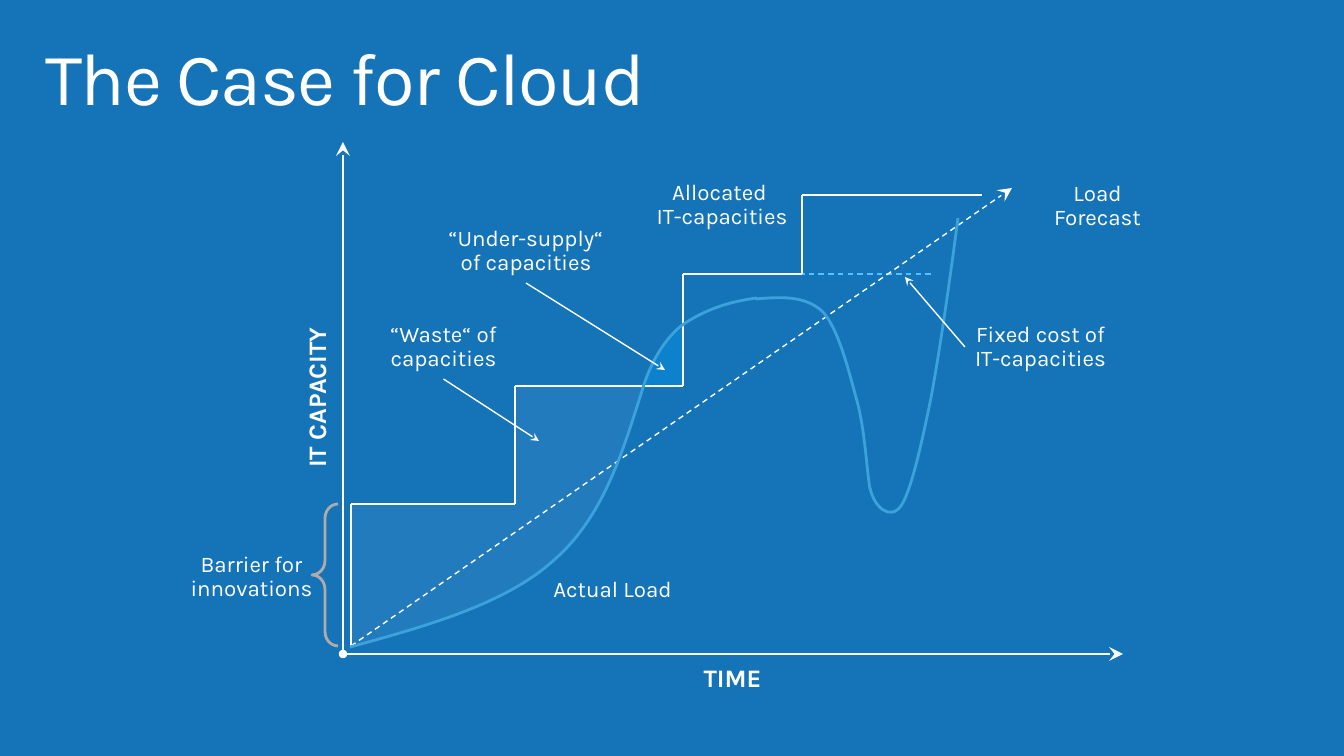
"""Build the slide "The Case for Cloud": IT capacity steps against actual load over time."""
from itertools import pairwise

from lxml import etree
from pptx import Presentation
from pptx import util as u
from pptx.dml.color import RGBColor
from pptx.enum import dml, shapes, text
from pptx.oxml.ns import qn

PX = 914400 / 100.8
FONT = "Karla"
BLUE = RGBColor(0x15, 0x74, 0xB8)
WHITE = RGBColor(0xFF, 0xFF, 0xFF)
GREY = RGBColor(0xAF, 0xAB, 0xAB)
LOAD = RGBColor(0x3B, 0xA2, 0xDB)
WASTE = RGBColor(0x5B, 0x9B, 0xD5)
SUPPLY = RGBColor(0x00, 0x98, 0xED)
PALE = RGBColor(0x54, 0xC2, 0xFF)


def add_line(start, end, width=1, color=WHITE, dash=False, head=None, tail=None, size="med"):
    """Draw a straight connector between two points given in px."""
    c = s.shapes.add_connector(shapes.MSO_CONNECTOR.STRAIGHT,
                               *[round(v * PX) for v in (*start, *end)])
    c.line.width = u.Pt(width)
    c.line.color.rgb = color
    if dash:
        c.line.dash_style = dml.MSO_LINE.DASH
    for tag, kind, scale in (("a:headEnd", head, "med"), ("a:tailEnd", tail, size)):
        if kind:
            etree.SubElement(c.line._ln, qn(tag), type=kind, w=scale, len=scale)
    etree.SubElement(c._element.spPr, qn("a:effectLst"))
    return c


def add_outline(start, pieces, closed):
    """Draw a freeform from px pieces: one point is a line, three are a Bezier curve."""
    fb = s.shapes.build_freeform(*[round(v * PX) for v in start])
    fb.add_line_segments([(round(x * PX), round(y * PX)) for piece in pieces for x, y in piece],
                         close=closed)
    sp = fb.convert_to_shape()
    sp.shadow.inherit = False
    segments = iter(list(sp._element.spPr.iter(qn("a:lnTo"))))
    for piece in pieces:
        group = [next(segments) for _ in piece]
        if len(group) == 3:
            curve = etree.Element(qn("a:cubicBezTo"))
            group[0].addprevious(curve)
            for segment in group:
                curve.append(segment[0])
                segment.getparent().remove(segment)
    return sp


prs = Presentation()
prs.slide_width, prs.slide_height = round(1344 * PX), round(756 * PX)
s = prs.slides.add_slide(prs.slide_layouts[5])
s.background.fill.solid()
s.background.fill.fore_color.rgb = BLUE

title = s.shapes.title
title.left, title.top, title.width, title.height = [round(v * PX) for v in (29, 32, 1272, 99)]
tf = title.text_frame
tf.text = "The Case for Cloud"
tf.auto_size = text.MSO_AUTO_SIZE.NONE
tf.vertical_anchor = text.MSO_ANCHOR.TOP
tf.margin_left = tf.margin_right = round(16 * PX)
tf.margin_top = tf.margin_bottom = round(10 * PX)
p = tf.paragraphs[0]
p.alignment = text.PP_ALIGN.LEFT
p.line_spacing = 0.9
r = p.runs[0]
r.font.name, r.font.size, r.font.color.rgb = FONT, u.Pt(52.9), WHITE
r.font._element.set("spc", "-100")

add_line((799, 274), (933, 274), color=PALE, dash=True)

areas = [
    ((683, 387), [[(683, 371), (684, 340), (684, 327)],
                  [(673, 331), (649, 360), (645, 387)], [(683, 387)]], SUPPLY, 39),
    ((351, 646), [[(350, 599), (351, 533), (351, 504)], [(516, 504)],
                  [(516, 453), (516, 424), (516, 386)], [(642, 386)],
                  [(628, 446), (599, 524), (547, 565)],
                  [(490, 609), (411, 630), (351, 646)]], WASTE, 19),
]
for start, pieces, color, opacity in areas:
    sp = add_outline(start, pieces, True)
    sp.fill.solid()
    sp.fill.fore_color.rgb = color
    sp.line.fill.background()
    clr = sp._element.spPr.find(".//" + qn("a:srgbClr"))
    etree.SubElement(clr, qn("a:alpha"), val=str(opacity * 1000))

steps = [(351, 646), (351, 504), (515, 504), (515, 386), (683, 386),
         (683, 274), (802, 274), (802, 195), (982, 195)]
for start, end in pairwise(steps):
    add_line(start, end, width=1.5)
for end in ((1123, 654), (343, 142)):
    add_line((343, 654), end, head="oval", tail="stealth", size="lg")
add_line(steps[0], (1012, 188), dash=True, tail="stealth", size="lg")

brace = s.shapes.add_shape(shapes.MSO_SHAPE.LEFT_BRACE,
                           *[round(v * PX) for v in (312, 504, 26, 142)])
brace.adjustments[0], brace.adjustments[1] = 0.55, 0.5
brace.shadow.inherit = False
brace.fill.background()
brace.line.color.rgb, brace.line.width = GREY, u.Pt(2)

load_curves = [
    ((756, 299), [[(780, 297), (805, 295), (823, 312)], [(839, 330), (849, 372), (857, 401)],
                  [(865, 430), (867, 473), (870, 489)]]),
    ((870, 488), [[(874, 507), (890, 521), (901, 506)], [(911, 491), (921, 447), (931, 398)],
                  [(940, 350), (950, 279), (958, 218)]]),
    ((350, 647), [[(427, 626), (505, 604), (553, 561)], [(603, 518), (622, 454), (642, 391)]]),
    ((642, 391), [[(650, 364), (663, 341), (681, 326)], [(701, 312), (725, 302), (757, 298)]]),
]
for start, pieces in load_curves:
    sp = add_outline(start, pieces, False)
    sp.fill.background()
    sp.line.color.rgb, sp.line.width = LOAD, u.Pt(2)

labels = [
    ("Actual Load", (547, 568, 131, 41), True),
    ("Allocated \vIT-capacities", (650, 173, 144, 65), True),
    ("“Waste“ of capacities", (376, 315, 135, 64), True),
    ("“Under-supply“ of capacities", (444, 219, 164, 64), True),
    ("Fixed cost of IT-capacities", (965, 315, 151, 64), True),
    ("Load Forecast", (1022, 177, 151, 58), False),
    ("Barrier for\ninnovations", (176, 548, 151, 58), False),
    ("TIME", (658, 657, 149, 40), False),
    ("IT CAPACITY", (241, 377, 150, 41), False),
]
boxes = {}
for words, place, rounded in labels:
    frame = [round(v * PX) for v in place]
    axis = words.isupper()
    if rounded:
        sp = s.shapes.add_shape(shapes.MSO_SHAPE.ROUNDED_RECTANGLE, *frame)
        sp.shadow.inherit = False
        sp.fill.background()
        sp.line.fill.background()
    else:
        sp = s.shapes.add_textbox(*frame)
    boxes[words] = sp
    tf = sp.text_frame
    tf.text = words
    tf.word_wrap = not axis
    tf.vertical_anchor = text.MSO_ANCHOR.MIDDLE
    tf.margin_left = tf.margin_right = 0 if rounded or axis else round(10 * PX)
    for p in tf.paragraphs:
        p.alignment = text.PP_ALIGN.CENTER
        if not axis and words != "Actual Load":
            p.line_spacing = u.Pt(17)
        for r in p.runs:
            r.font.name, r.font.size = FONT, u.Pt(18 if axis else 16)
            r.font.bold, r.font.color.rgb = axis, WHITE
boxes["IT CAPACITY"].rotation = 270

pointers = [
    ("Fixed cost of IT-capacities", 1, (965, 347), (905, 277)),
    ("“Under-supply“ of capacities", 2, (526, 283), (665, 370)),
    ("“Waste“ of capacities", 2, (444, 379), (539, 441)),
]
for words, side, start, end in pointers:
    add_line(start, end, tail="stealth").begin_connect(boxes[words], side)

prs.save("out.pptx")
